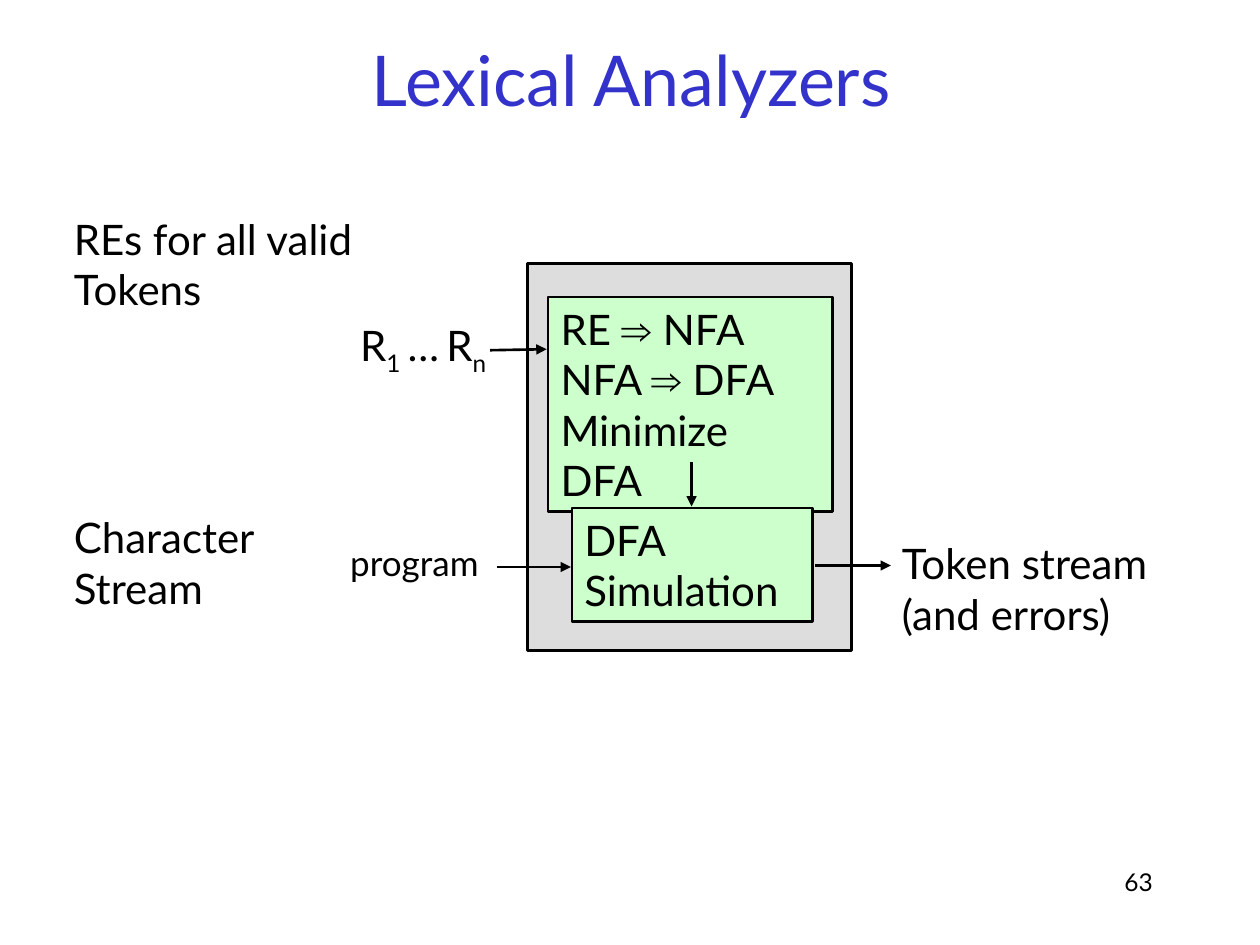
from lxml.etree import SubElement
from pptx import Presentation
from pptx.dml.color import RGBColor
from pptx.enum.shapes import MSO_CONNECTOR, MSO_SHAPE
from pptx.enum.text import MSO_ANCHOR, PP_ALIGN
from pptx.oxml.ns import qn
from pptx.util import Cm, Pt

BLACK = RGBColor(0x00, 0x00, 0x00)
BLUE = RGBColor(0x33, 0x33, 0xCC)
GREY = RGBColor(0xDD, 0xDD, 0xDD)
GREEN = RGBColor(0xCC, 0xFF, 0xCC)


class Page:
    """Holds the style and the current slide."""

    font, symbol_font = "Lato", "Arial"
    size, line_width = 24, Pt(1.5)

    def __init__(self, deck):
        # Layout 5 is "Title Only"
        self.slide = deck.slides.add_slide(deck.slide_layouts[5])

    def style_span(self, span, size, color=BLACK):
        span.font.name = self.symbol_font if span.text == "⇒" else self.font
        span.font.size = Pt(size)
        span.font.color.rgb = color

    def fill_text(self, box, lines, size=size, align=PP_ALIGN.LEFT, wrap=True):
        """Each line is a string or a list of (text, size, baseline) spans."""
        frame = box.text_frame
        frame.word_wrap = wrap
        frame.vertical_anchor = MSO_ANCHOR.TOP
        for index, line in enumerate(lines):
            para = frame.paragraphs[0] if index == 0 else frame.add_paragraph()
            para.alignment = align
            spans = [(line, size, 0)] if isinstance(line, str) else line
            for text, points, baseline in spans:
                span = para.add_run()
                span.text = text
                self.style_span(span, points)
                if baseline:
                    span.font._element.set("baseline", str(baseline * 1000))

    def title(self, text, left, top, width, height):
        box = self.slide.shapes.title
        box.left, box.top, box.width, box.height = map(Cm, (left, top, width, height))
        box.text_frame.text = text
        box.text_frame.vertical_anchor = MSO_ANCHOR.MIDDLE
        para = box.text_frame.paragraphs[0]
        para.alignment = PP_ALIGN.CENTER
        self.style_span(para.runs[0], 40, BLUE)

    def label(self, lines, left, top, width, height, **style):
        box = self.slide.shapes.add_textbox(*map(Cm, (left, top, width, height)))
        self.fill_text(box, lines, **style)

    def block(self, fill, left, top, width, height, lines=()):
        box = self.slide.shapes.add_shape(
            MSO_SHAPE.RECTANGLE, *map(Cm, (left, top, width, height)))
        box.shadow.inherit = False
        box.fill.solid()
        box.fill.fore_color.rgb = fill
        box.line.color.rgb = BLACK
        box.line.width = self.line_width
        self.fill_text(box, lines)

    def arrow(self, *ends):
        line = self.slide.shapes.add_connector(MSO_CONNECTOR.STRAIGHT, *map(Cm, ends))
        line.line.color.rgb = BLACK
        line.line.width = self.line_width
        SubElement(line.line._get_or_add_ln(), qn("a:tailEnd"), type="triangle")
        SubElement(line._element.spPr, qn("a:effectLst"))


def conversion(source, target):
    return [(text, Page.size, 0) for text in (f"{source} ", "⇒", f" {target}")]


def main():
    deck = Presentation()
    deck.slide_width, deck.slide_height = Cm(25.4), Cm(19.05)
    page = Page(deck)

    # Title and page number
    page.title("Lexical Analyzers", 1.93, 0, 21.59, 3.18)
    page.label(["63"], 18.21, 17.35, 5.28, 1.27, size=14, align=PP_ALIGN.RIGHT)

    # Analyzer with its two stages
    page.block(GREY, 10.64, 5.31, 6.53, 7.8)
    page.block(GREEN, 11.05, 5.99, 5.74, 4.32,
               [conversion("RE", "NFA"), conversion("NFA", "DFA"), "Minimize DFA"])
    page.block(GREEN, 11.53, 10.24, 4.85, 2.29, ["DFA", "Simulation"])

    # Flow between the stages, then inputs and output
    page.arrow(13.94, 9.32, 13.94, 10.21)
    page.arrow(9.88, 7.06, 11.02, 7.04)
    page.arrow(10.01, 11.43, 11.51, 11.43)
    page.arrow(16.43, 11.4, 17.96, 11.4)

    # Descriptions of the inputs
    page.label(["Character", "Stream"], 1.24, 10.19, 5.72, 2.29)
    page.label(["REs for all valid Tokens"], 1.24, 4.17, 6.76, 2.29)

    # Inputs and output
    expressions = [("R", 24, 0), ("1", 24, -25), (" ", 16, 0), ("…", 24, 0),
                   (" ", 16, 0), ("R", 24, 0), ("n", 24, -25)]
    page.label([expressions], 7.01, 6.32, 3.1, 1.42, wrap=False)
    page.label(["program"], 6.81, 10.8, 3.43, 1.12, size=20, wrap=False)
    page.label(["Token stream", "(and errors)"], 17.93, 10.72, 5.97, 2.29, wrap=False)

    deck.save("out.pptx")


if __name__ == "__main__":
    main()
